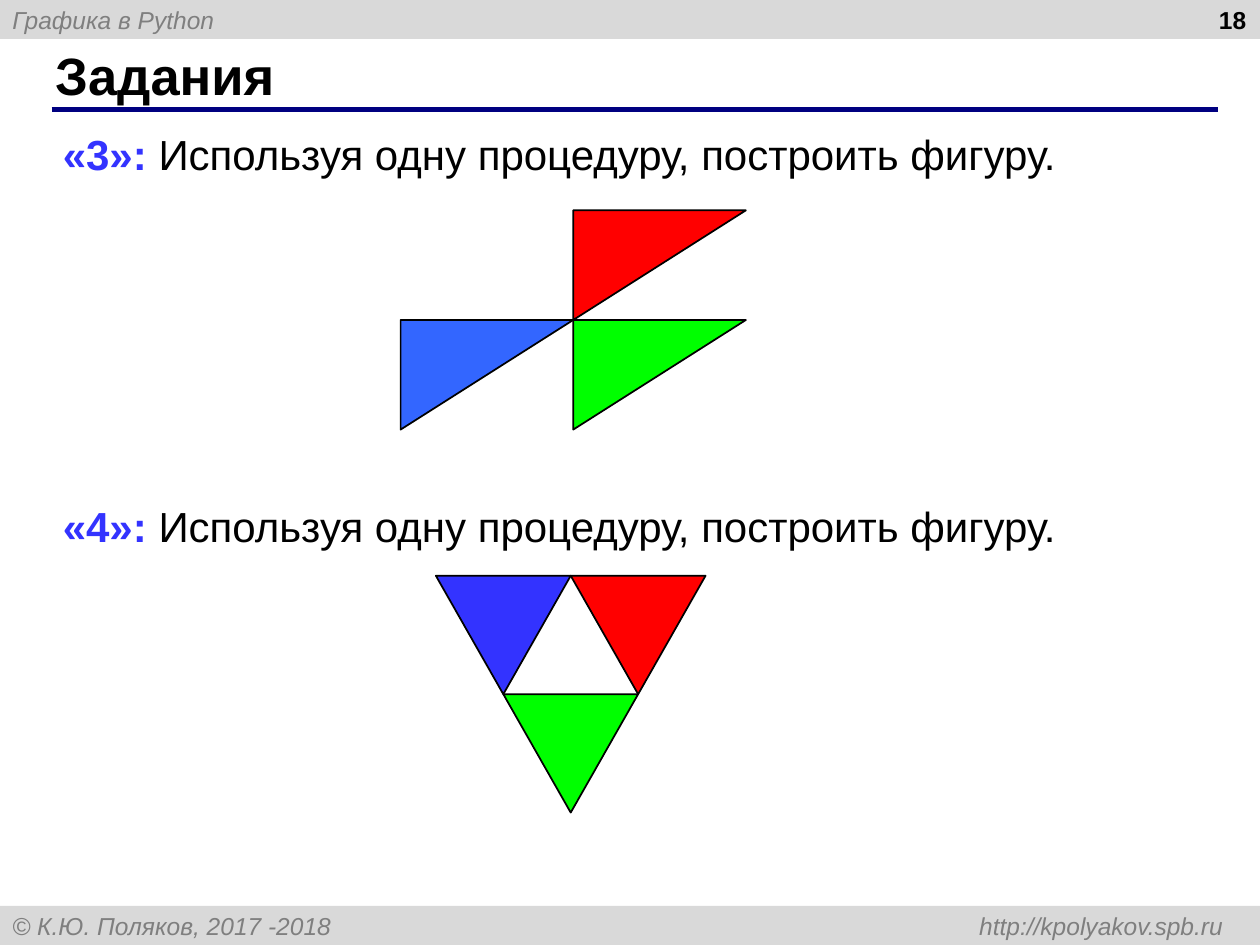
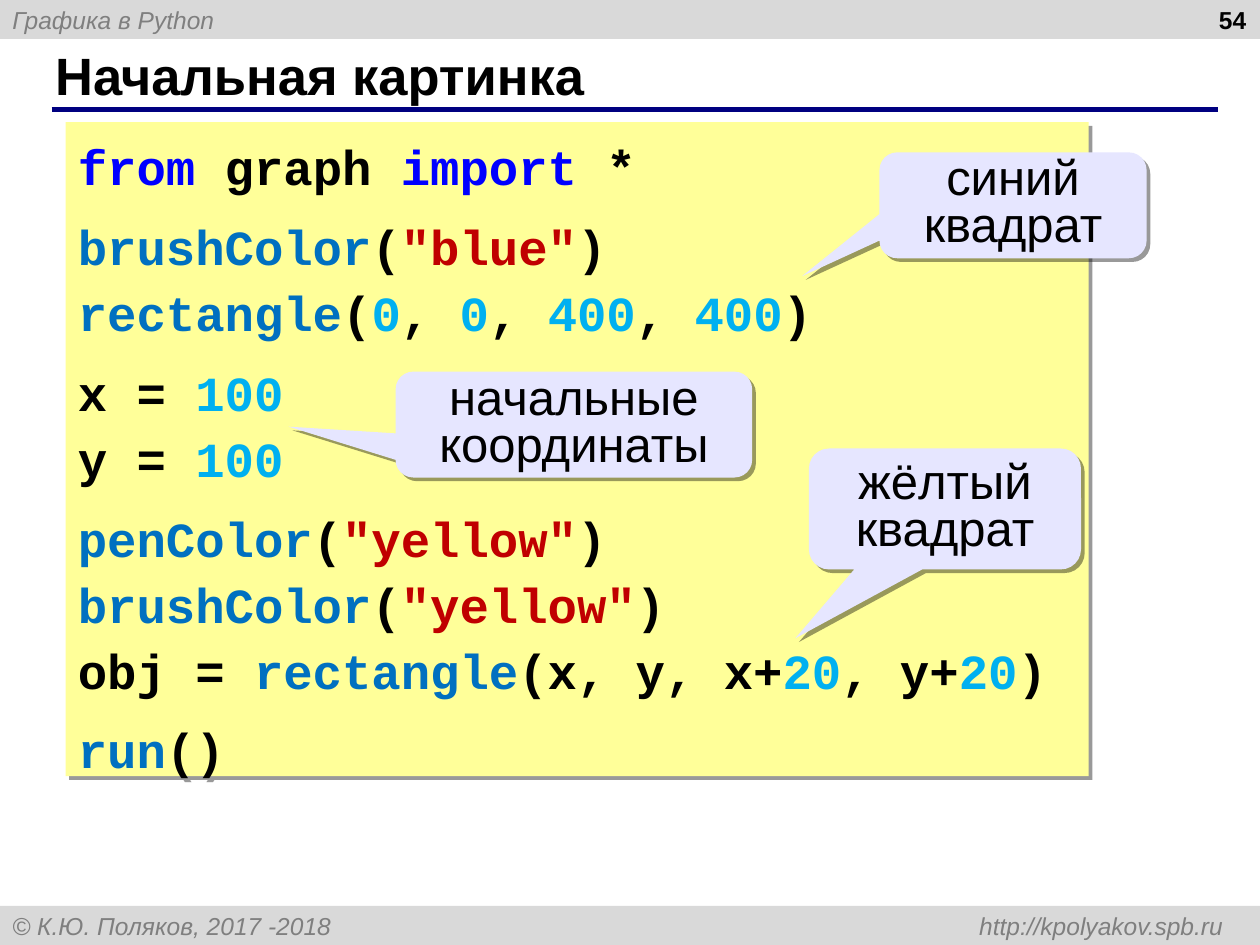
from lxml.etree import SubElement
from pptx import Presentation
from pptx.dml.color import RGBColor
from pptx.enum.shapes import MSO_CONNECTOR, MSO_SHAPE
from pptx.enum.text import MSO_ANCHOR, PP_ALIGN
from pptx.oxml.ns import qn
from pptx.util import Inches, Pt

BLACK, GRAY, BAND = "000000", "7F7F7F", "D9D9D9"
RULE, ACCENT, RED, GREEN, SKY = "000080", "3333FF", "FF0000", "00FF00", "3366FF"
CODE_FILL, CALLOUT_FILL = "FFFF99", "E6E6FF"
KEYWORD, FUNCTION, STRING, NUMBER = "0000FF", "0070C0", "C00000", "00B0F0"

# Tokens are divided by "|"; the number is the space before the line in points.
CODE_LINES = [
    ("from| graph |import| *", 0),
    ('brushColor|(|"blue"|)', 12),
    ("rectangle|(|0|, |0|, |400|, |400|)", 4),
    ("x = |100", 12),
    ("y = |100", 4),
    ('penColor|(|"yellow"|)', 12),
    ('brushColor|(|"yellow"|)', 4),
    ("obj = |rectangle|(x, y, x+|20|, y+|20|)", 4),
    ("run|()", 12),
]


def rgb(color):
    return RGBColor.from_string(color)


def inches(box):
    return [Inches(length) for length in box]


def add_span(para, text, size=24, color=BLACK, font="Arial", bold=False, italic=False):
    span = para.add_run()
    span.text = text
    span.font.name, span.font.size = font, Pt(size)
    span.font.bold, span.font.italic = bold, italic
    span.font.color.rgb = rgb(color)


def set_frame(shape, anchor=MSO_ANCHOR.MIDDLE, align=PP_ALIGN.LEFT, top=0.05):
    """Prepare the text frame and return its first paragraph."""
    frame = shape.text_frame
    frame.word_wrap = True
    frame.vertical_anchor = anchor
    frame.margin_top = Inches(top)
    para = frame.paragraphs[0]
    para.alignment = align
    return para


def add_text(page, box, text, anchor=MSO_ANCHOR.MIDDLE, align=PP_ALIGN.LEFT, **style):
    para = set_frame(page.shapes.add_textbox(*inches(box)), anchor, align)
    add_span(para, text, **style)
    return para


def add_filled(shapes, kind, box, fill, outline=None):
    shape = shapes.add_shape(kind, *inches(box))
    shape.shadow.inherit = False
    shape.fill.solid()
    shape.fill.fore_color.rgb = rgb(fill)
    if outline:
        shape.line.color.rgb = rgb(outline)
        shape.line.width = Pt(1)
    else:
        shape.line.fill.background()
    return shape


def add_shadow(shape):
    effects = shape.element.spPr.find(qn("a:effectLst"))
    shadow = SubElement(effects, qn("a:outerShdw"), blurRad="0", dist=str(Pt(3)),
                        dir="2700000", algn="ctr", rotWithShape="0")
    color = SubElement(shadow, qn("a:srgbClr"), val=BLACK)
    SubElement(color, qn("a:alpha"), val="40000")


def add_band(page, top, text, right_tab=None):
    band = add_filled(page.shapes, MSO_SHAPE.RECTANGLE, (0, top, 10, 0.31), BAND)
    para = set_frame(band)
    if right_tab:
        tabs = SubElement(para._p.get_or_add_pPr(), qn("a:tabLst"))
        SubElement(tabs, qn("a:tab"), pos=str(Inches(right_tab)), algn="r")
    add_span(para, text, size=14, color=GRAY, italic=True)


def add_page(deck, title, number):
    page = deck.slides.add_slide(deck.slide_layouts[6])
    add_band(page, 0, "Графика в Python")
    add_band(page, 7.19, "© К.Ю. Поляков, 2017 -2018\thttp://kpolyakov.spb.ru", right_tab=9.61)
    rule = page.shapes.add_connector(MSO_CONNECTOR.STRAIGHT, *inches((0.41, 0.87, 9.67, 0.87)))
    rule.line.color.rgb = rgb(RULE)
    rule.line.width = Pt(3)
    SubElement(rule.element.spPr, qn("a:effectLst"))
    add_text(page, (0.34, 0.33, 9.16, 0.52), title, size=30, bold=True)
    add_text(page, (7.66, 0, 2.33, 0.31), str(number), align=PP_ALIGN.RIGHT, size=14, bold=True)
    return page


def add_task(page, top, grade):
    para = add_text(page, (0.4, top, 9.21, 0.5), f"«{grade}»: ", anchor=MSO_ANCHOR.TOP,
                    color=ACCENT, bold=True)
    add_span(para, "Используя одну процедуру, построить фигуру.")


def add_triangles(page, kind, origin, size, cells):
    """Group flipped triangles; each cell is a column, a row and a colour."""
    group = page.shapes.add_group_shape()
    left, top = origin
    width, height = size
    for column, row, color in cells:
        box = (left + column * width, top + row * height, width, height)
        triangle = add_filled(group.shapes, kind, box, color, outline=BLACK)
        triangle.element.spPr.find(qn("a:xfrm")).set("flipV", "1")


def token_color(token):
    if token in ("from", "import"):
        return KEYWORD
    if token.startswith('"'):
        return STRING
    if token.isdigit():
        return NUMBER
    return FUNCTION if token.isidentifier() else BLACK


def add_code(page, box):
    panel = add_filled(page.shapes, MSO_SHAPE.RECTANGLE, box, CODE_FILL)
    add_shadow(panel)
    para = set_frame(panel, MSO_ANCHOR.TOP, top=0.11)
    for index, (line, gap) in enumerate(CODE_LINES):
        if index:
            para = panel.text_frame.add_paragraph()
            para.alignment = PP_ALIGN.LEFT
            para.space_before = Pt(gap)
        para.line_spacing = Pt(33.7)
        for token in line.split("|"):
            add_span(para, token, size=28, color=token_color(token), font="Courier New", bold=True)


def add_callout(page, box, text, tip):
    """Tip is the pointer's end, as shares of the box measured from its centre."""
    callout = add_filled(page.shapes, MSO_SHAPE.ROUNDED_RECTANGULAR_CALLOUT, box, CALLOUT_FILL)
    callout.adjustments[0], callout.adjustments[1] = tip
    add_shadow(callout)
    para = set_frame(callout, align=PP_ALIGN.CENTER)
    para.line_spacing = 0.8
    add_span(para, text, size=28)


def build_tasks(deck):
    page = add_page(deck, "Задания", 18)
    add_task(page, 0.97, 3)
    add_triangles(page, MSO_SHAPE.RIGHT_TRIANGLE, (3.18, 1.67), (1.37, 0.87),
                  [(0, 1, SKY), (1, 1, GREEN), (1, 0, RED)])
    add_task(page, 3.92, 4)
    add_triangles(page, MSO_SHAPE.ISOSCELES_TRIANGLE, (3.46, 4.57), (1.07, 0.94),
                  [(0.5, 1, GREEN), (0, 0, ACCENT), (1, 0, RED)])


def build_start_picture(deck):
    page = add_page(deck, "Начальная картинка", 54)
    add_code(page, (0.52, 0.97, 8.12, 5.19))
    add_callout(page, (6.98, 1.21, 2.12, 0.84), "синий квадрат", (-0.79, 0.67))
    add_callout(page, (3.14, 2.95, 2.83, 0.84), "начальные координаты", (-0.8, 0.02))
    add_callout(page, (6.42, 3.56, 2.16, 0.96), "жёлтый квадрат", (-0.55, 1.07))


def main():
    deck = Presentation()
    deck.slide_width, deck.slide_height = Inches(10), Inches(7.5)
    build_tasks(deck)
    build_start_picture(deck)
    deck.save("out.pptx")


if __name__ == "__main__":
    main()
